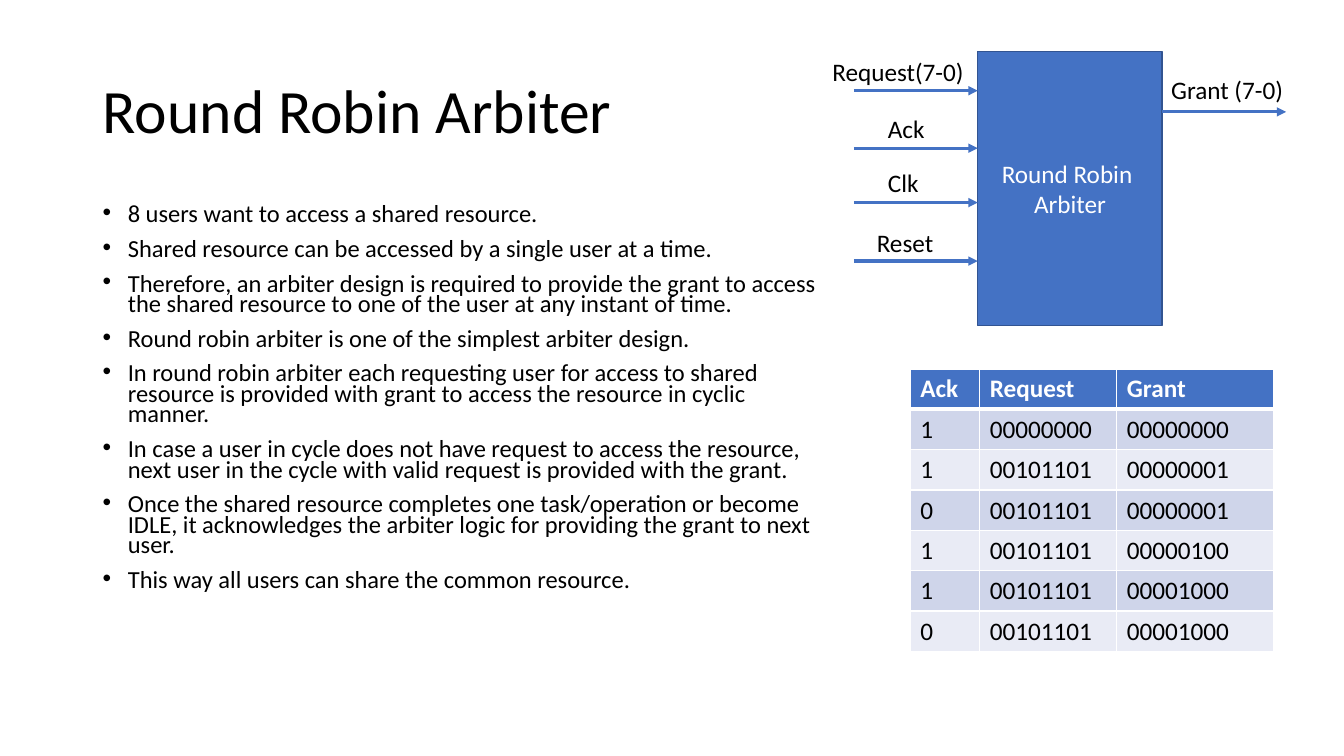
from dataclasses import dataclass

import lxml.etree
import pptx
import pptx.dml.color
import pptx.enum.shapes
import pptx.enum.text
import pptx.oxml.ns
import pptx.shapes.base
import pptx.slide
import pptx.table
import pptx.text.text
import pptx.util

qn = pptx.oxml.ns.qn
Align = pptx.enum.text.PP_ALIGN
Anchor = pptx.enum.text.MSO_ANCHOR


@dataclass(frozen=True)
class Theme:
    font: str = "Calibri"
    ink: str = "000000"
    paper: str = "FFFFFF"
    accent: str = "4472C4"
    outline: str = "325491"
    bands: tuple[str, str] = ("CFD5EA", "E9EBF5")
    title_size: float = 44
    bullet_size: float = 17.5
    label_size: float = 18


@dataclass(frozen=True)
class Area:
    """Left, top, width and height in grid columns and rows."""
    left: float
    top: float
    width: float
    height: float


@dataclass(frozen=True)
class Signal:
    """A named arrow with the area of its label."""
    name: str
    start: float
    row: float
    label: Area


THEME = Theme()
CELL = pptx.util.Inches(0.1)  # the grid has square cells
COLUMNS, ROWS = 133.33, 75
ARROW_LENGTH = 12.3
LABEL_HEIGHT = 4

TITLE = Area(9.2, 4, 115, 14.5)
POINTS = Area(9.2, 20, 73.4, 47.6)
BLOCK = Area(97, 5.1, 18.3, 27.2)
INPUT_START = BLOCK.left - ARROW_LENGTH
OUTPUT_START = BLOCK.left + BLOCK.width

SIGNALS = (
    Signal("Request(7-0)", INPUT_START, 9, Area(81.6, 5.1, 15.4, LABEL_HEIGHT)),
    Signal("Ack", INPUT_START, 14.7, Area(87.1, 10.8, 7.4, LABEL_HEIGHT)),
    Signal("Clk", INPUT_START, 20.1, Area(87.1, 16.1, 7.4, LABEL_HEIGHT)),
    Signal("Reset", INPUT_START, 25.9, Area(86, 22.1, 8.6, LABEL_HEIGHT)),
    Signal("Grant (7-0)", OUTPUT_START, 11.1, Area(115.2, 6.9, 13.5, LABEL_HEIGHT)),
)

BULLETS = (
    "8 users want to access a shared resource.",
    "Shared resource can be accessed by a single user at a time.",
    "Therefore, an arbiter design is required to provide the grant to access "
    "the shared resource to one of the user at any instant of time.",
    "Round robin arbiter is one of the simplest arbiter design.",
    "In round robin arbiter each requesting user for access to shared resource "
    "is provided with grant to access the resource in cyclic manner.",
    "In case a user in cycle does not have request to access the resource, next "
    "user in the cycle with valid request is provided with the grant.",
    "Once the shared resource completes one task/operation or become IDLE, it "
    "acknowledges the arbiter logic for providing the grant to next user.",
    "This way all users can share the common resource.",
)

GRANT_WIDTHS = (6.9, 13.6, 15.6)
GRANT_ROWS = (
    ("Ack", "Request", "Grant"),
    ("1", "00000000", "00000000"),
    ("1", "00101101", "00000001"),
    ("0", "00101101", "00000001"),
    ("1", "00101101", "00000100"),
    ("1", "00101101", "00001000"),
    ("0", "00101101", "00001000"),
)
GRANTS = Area(90.3, 36.6, sum(GRANT_WIDTHS), 4 * len(GRANT_ROWS))


def grid(cells: float) -> pptx.util.Emu:
    return pptx.util.Emu(round(cells * CELL))


def box(area: Area) -> tuple[pptx.util.Emu, ...]:
    return grid(area.left), grid(area.top), grid(area.width), grid(area.height)


def rgb(color: str) -> pptx.dml.color.RGBColor:
    return pptx.dml.color.RGBColor.from_string(color)


def write(frame: pptx.text.text.TextFrame, lines: tuple[str, ...], size: float,
          color: str = THEME.ink, align: Align = Align.LEFT,
          bold: bool = False) -> None:
    for index, line in enumerate(lines):
        paragraph = frame.paragraphs[0] if index == 0 else frame.add_paragraph()
        paragraph.alignment = align
        run = paragraph.add_run()
        run.text = line
        run.font.name = THEME.font
        run.font.size = pptx.util.Pt(size)
        run.font.color.rgb = rgb(color)
        run.font.bold = bold


def add_title(slide: pptx.slide.Slide) -> None:
    title = slide.shapes.title
    title.left, title.top, title.width, title.height = box(TITLE)
    title.text_frame.vertical_anchor = Anchor.MIDDLE
    write(title.text_frame, ("Round Robin Arbiter",), THEME.title_size)
    title.text_frame.paragraphs[0].line_spacing = 0.9


def add_points(slide: pptx.slide.Slide) -> None:
    frame = slide.shapes.add_textbox(*box(POINTS)).text_frame
    frame.word_wrap = True
    write(frame, BULLETS, THEME.bullet_size)
    for paragraph in frame.paragraphs:
        paragraph.line_spacing = 0.7
        paragraph.space_before = pptx.util.Pt(10)
        properties = paragraph._p.get_or_add_pPr()
        properties.set("marL", str(grid(2.5)))
        properties.set("indent", str(grid(-2.5)))
        lxml.etree.SubElement(properties, qn("a:buFont"), typeface="Arial")
        lxml.etree.SubElement(properties, qn("a:buChar"), char="•")


def add_block(slide: pptx.slide.Slide) -> None:
    block = slide.shapes.add_shape(pptx.enum.shapes.MSO_SHAPE.RECTANGLE, *box(BLOCK))
    block.shadow.inherit = False
    block.fill.solid()
    block.fill.fore_color.rgb = rgb(THEME.accent)
    block.line.color.rgb = rgb(THEME.outline)
    block.line.width = pptx.util.Pt(1)
    block.text_frame.word_wrap = True
    block.text_frame.vertical_anchor = Anchor.MIDDLE
    write(block.text_frame, ("Round Robin ", "Arbiter"), THEME.label_size,
          THEME.paper, Align.CENTER)


def add_signal(slide: pptx.slide.Slide, signal: Signal) -> None:
    row = grid(signal.row)
    arrow = slide.shapes.add_connector(
        pptx.enum.shapes.MSO_CONNECTOR.STRAIGHT,
        grid(signal.start), row, grid(signal.start + ARROW_LENGTH), row)
    arrow.line.color.rgb = rgb(THEME.accent)
    arrow.line.width = pptx.util.Pt(2.25)
    lxml.etree.SubElement(arrow.line._get_or_add_ln(), qn("a:tailEnd"), type="triangle")
    lxml.etree.SubElement(arrow._element.spPr, qn("a:effectLst"))

    frame = slide.shapes.add_textbox(*box(signal.label)).text_frame
    frame.word_wrap = True
    frame.auto_size = pptx.enum.text.MSO_AUTO_SIZE.SHAPE_TO_FIT_TEXT
    write(frame, (signal.name,), THEME.label_size)


def add_borders(cell: pptx.table._Cell, is_header: bool) -> None:
    properties = cell._tc.get_or_add_tcPr()
    for side in "LRTB":
        width = pptx.util.Pt(3 if is_header and side == "B" else 1)
        line = lxml.etree.SubElement(properties, qn(f"a:ln{side}"), w=str(width))
        fill = lxml.etree.SubElement(line, qn("a:solidFill"))
        lxml.etree.SubElement(fill, qn("a:srgbClr"), val=THEME.paper)


def add_grants(slide: pptx.slide.Slide) -> None:
    table = slide.shapes.add_table(
        len(GRANT_ROWS), len(GRANT_WIDTHS), *box(GRANTS)).table
    for column, width in zip(table.columns, GRANT_WIDTHS):
        column.width = grid(width)
    for r, values in enumerate(GRANT_ROWS):
        is_header = r == 0
        for c, value in enumerate(values):
            cell = table.cell(r, c)
            add_borders(cell, is_header)
            cell.fill.solid()
            cell.fill.fore_color.rgb = rgb(
                THEME.accent if is_header else THEME.bands[(r - 1) % 2])
            write(cell.text_frame, (value,), THEME.label_size,
                  THEME.paper if is_header else THEME.ink, bold=is_header)


def main() -> None:
    deck = pptx.Presentation()
    deck.slide_width, deck.slide_height = grid(COLUMNS), grid(ROWS)
    slide = deck.slides.add_slide(deck.slide_layouts.get_by_name("Title Only"))

    # Heading and explanation
    add_title(slide)
    add_points(slide)

    # Block diagram
    add_block(slide)
    for signal in SIGNALS:
        add_signal(slide, signal)

    # Table of grants
    add_grants(slide)
    deck.save("out.pptx")


if __name__ == "__main__":
    main()
